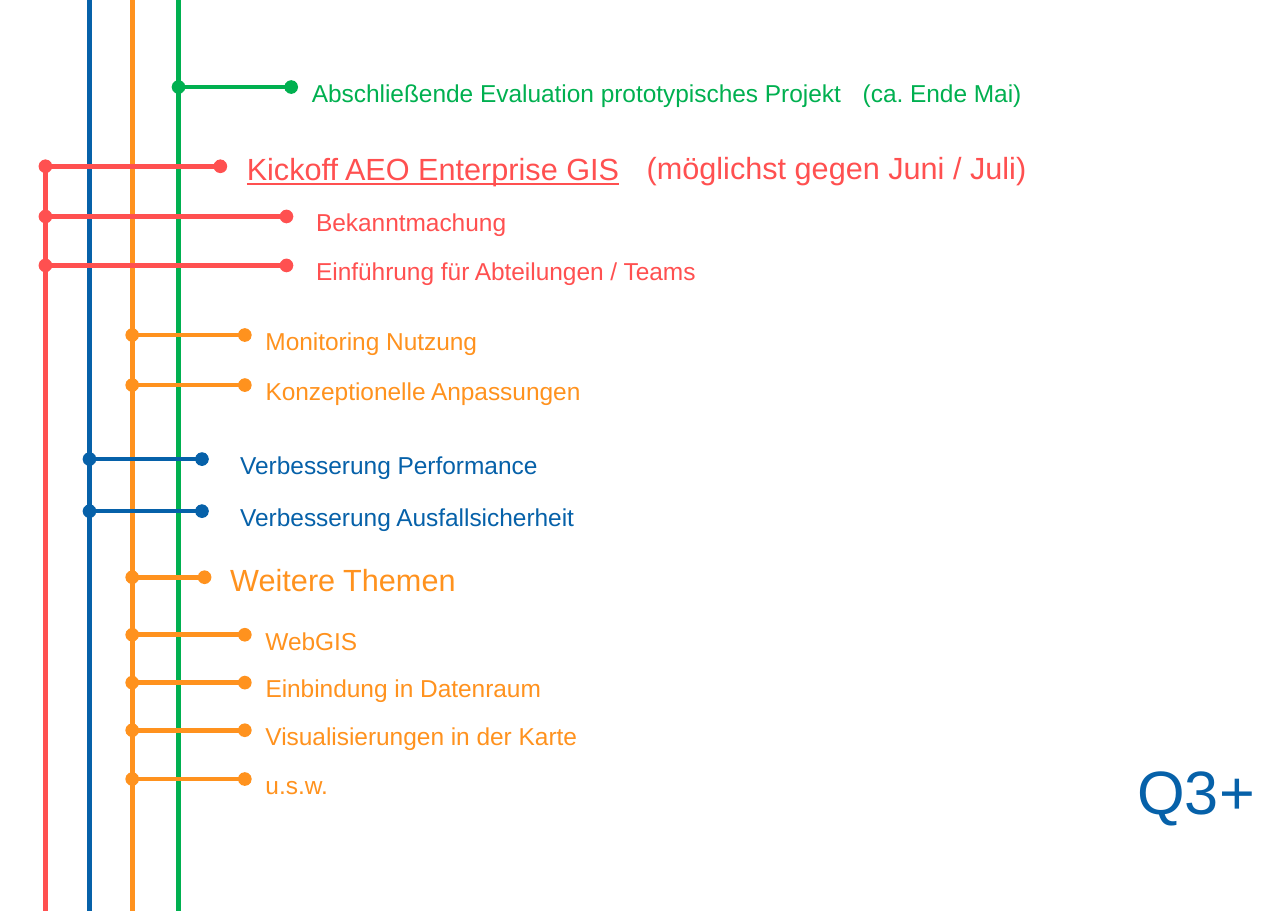
import pptx
import pptx.util
import pptx.dml.color
import pptx.enum.shapes
import pptx.enum.text
import lxml.etree

Pt = pptx.util.Pt
WIDE, HIGH = 841.68, 595.44
FONT = "Arial"
RED, BLUE, ORANGE, GREEN = "FF5050", "0661A9", "FF921E", "00B050"

# colour: x of the vertical line, y where it starts
TRUNKS = {GREEN: (116.7, 0), BLUE: (58.5, 0), ORANGE: (86.4, 0), RED: (29.7, 108.7)}

# colour, y, end of branch, left of text, width of text, size, text
TOPICS = [
    (GREEN, 56.9, 190.3, 203.8, 349.9, 16, "Abschließende Evaluation prototypisches Projekt"),
    (RED, 108.7, 144, 161.3, 244.8, 20, "Kickoff AEO Enterprise GIS"),
    (RED, 141.5, 187.2, 206.6, 125.3, 16, "Bekanntmachung"),
    (RED, 173.5, 187.2, 206.6, 251.3, 16, "Einführung für Abteilungen / Teams"),
    (ORANGE, 219, 160, 173.5, 139.7, 16, "Monitoring Nutzung"),
    (ORANGE, 251.7, 160, 173.5, 208.1, 16, "Konzeptionelle Anpassungen"),
    (BLUE, 300.1, 132, 157, 196.6, 16, "Verbesserung Performance"),
    (BLUE, 334.1, 132, 157, 220.3, 16, "Verbesserung Ausfallsicherheit"),
    (ORANGE, 377.3, 133.7, 150.5, 148.3, 20, "Weitere Themen"),
    (ORANGE, 414.9, 160, 173.5, 60.5, 16, "WebGIS"),
    (ORANGE, 446.2, 160, 173.5, 190, 16, "Einbindung in Datenraum"),
    (ORANGE, 477.3, 160, 173.5, 205.9, 16, "Visualisierungen in der Karte"),
    (ORANGE, 509.2, 160, 173.5, 41, 16, "u.s.w."),
]
# colour, left, top, width, size, text
NOTES = [
    (RED, 422.6, 95.3, 249.8, 20, "(möglichst gegen Juni / Juli)"),
    (GREEN, 563.8, 43.9, 105.1, 16, "(ca. Ende Mai)"),
]
TITLE = (BLUE, 743.3, 514.1, 77.8, 40, "Q3+")
LIFT = 12.8  # from the branch up to the top of its text
LEAD = 26


def tint(code):
    return pptx.dml.color.RGBColor.from_string(code)


def draw(slide, code, start, end, dots=False):
    """Add a straight line, with round ends if dots is set."""
    points = [Pt(n) for n in (*start, *end)]
    line = slide.shapes.add_connector(pptx.enum.shapes.MSO_CONNECTOR.STRAIGHT, *points)
    line.line.color.rgb = tint(code)
    line.line.width = Pt(3)
    if dots:
        pen = line.line._get_or_add_ln()
        for tag in ("a:headEnd", "a:tailEnd"):
            lxml.etree.SubElement(pen, pptx.oxml.ns.qn(tag), type="oval")
    lxml.etree.SubElement(line._element.spPr, pptx.oxml.ns.qn("a:effectLst"))


def write(shape, code, left, top, width, size, text):
    """Place a shape and set its one line of text."""
    shape.left, shape.top = Pt(left), Pt(top)
    shape.width, shape.height = Pt(width), Pt(LEAD)
    frame = shape.text_frame
    frame.text = text
    frame.word_wrap = False
    frame.auto_size = pptx.enum.text.MSO_AUTO_SIZE.SHAPE_TO_FIT_TEXT
    frame.vertical_anchor = pptx.enum.text.MSO_ANCHOR.TOP
    frame.margin_left = frame.margin_right = frame.margin_top = frame.margin_bottom = 0
    para = frame.paragraphs[0]
    para.alignment = pptx.enum.text.PP_ALIGN.LEFT
    para.line_spacing = Pt(LEAD)
    font = para.runs[0].font
    font.name, font.size = FONT, Pt(size)
    font.color.rgb = tint(code)
    return font


def label(slide, *item):
    return write(slide.shapes.add_textbox(0, 0, 0, 0), *item)


def main():
    deck = pptx.Presentation()
    deck.slide_width, deck.slide_height = Pt(WIDE), Pt(HIGH)
    slide = deck.slides.add_slide(deck.slide_layouts[5])
    write(slide.shapes.title, *TITLE)

    for code, (x, y) in TRUNKS.items():
        draw(slide, code, (x, y), (x, HIGH))
    for code, y, end, left, width, size, text in TOPICS:
        draw(slide, code, (TRUNKS[code][0], y), (end, y), dots=True)
        font = label(slide, code, left, y - LIFT, width, size, text)
        if text.startswith("Kickoff"):
            font.underline = True
    for note in NOTES:
        label(slide, *note)

    deck.save("out.pptx")


if __name__ == "__main__":
    main()
